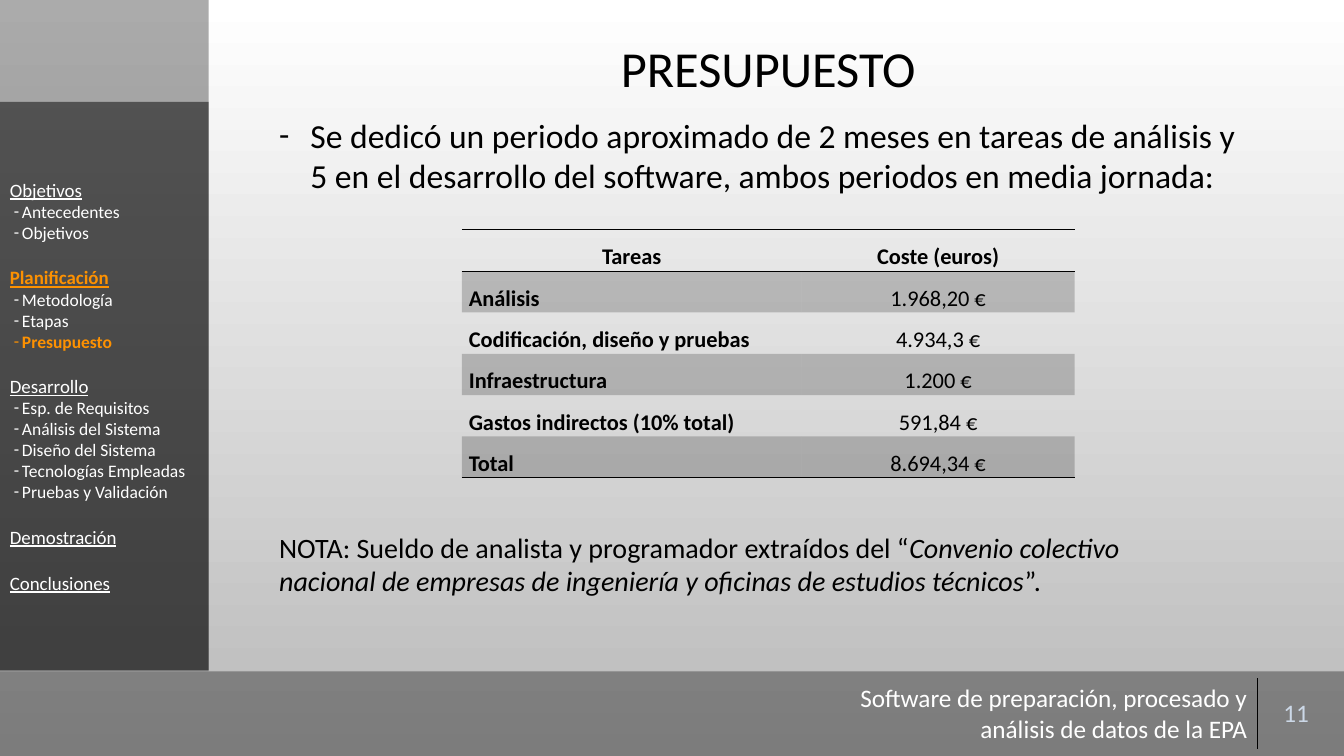
from dataclasses import dataclass

from lxml.etree import SubElement
from pptx import Presentation
from pptx.dml.color import RGBColor
from pptx.enum.shapes import MSO_SHAPE
from pptx.enum.text import MSO_ANCHOR, PP_ALIGN
from pptx.oxml import parse_xml
from pptx.oxml.ns import nsdecls, qn
from pptx.util import Inches, Pt

NO_STYLE_NO_GRID = "{2D5ABB26-0587-4C30-8999-92F81FD0307C}"


@dataclass(frozen=True)
class Theme:
    font: str = "Calibri"
    black: str = "000000"
    white: str = "FFFFFF"
    gray: str = "B9B9B9"
    orange: str = "FD9101"
    pale_blue: str = "CCD8E7"
    title: float = 36
    body: float = 24
    note: float = 20
    footer: float = 18
    table: float = 16
    section: float = 13.5
    topic: float = 12.5


THEME = Theme()


def write(para, text, *, size, color=THEME.black, bold=False, italic=False, underline=False):
    """Add a formatted span of text to a paragraph."""
    span = para.add_run()
    span.text = text
    font = span.font
    font.name, font.size = THEME.font, Pt(size)
    font.bold, font.italic, font.underline = bold, italic, underline
    font.color.rgb = RGBColor.from_string(color)


def set_dash(para, indent, hanging):
    """Give a paragraph a dash bullet with a hanging indent."""
    properties = para._p.get_or_add_pPr()
    properties.set("marL", str(Inches(indent)))
    properties.set("indent", str(-Inches(hanging)))
    SubElement(properties, qn("a:buFont"), typeface=THEME.font)
    SubElement(properties, qn("a:buChar"), char="-")


def set_alpha(fill, percent):
    """Fill with black at the given opacity."""
    fill.solid()
    fill.fore_color.rgb = RGBColor.from_string(THEME.black)
    color = fill._xPr.find(qn("a:solidFill"))[0]
    SubElement(color, qn("a:alpha"), val=str(percent * 1000))


def set_borders(cell, sides):
    """Draw thin black lines on the named sides, in L, R, T, B order."""
    properties = cell._tc.get_or_add_tcPr()
    for position, side in enumerate(sides):
        properties.insert(position, parse_xml(
            f'<a:ln{side} {nsdecls("a")} w="12700"><a:solidFill>'
            f'<a:srgbClr val="{THEME.black}"/></a:solidFill></a:ln{side}>'))


class SlideBuilder:
    def __init__(self, page, theme):
        self.page = page
        self.theme = theme

    def background(self):
        fill = self.page.background.fill
        fill.gradient()
        fill.gradient_angle = 270
        for stop, color in zip(fill.gradient_stops, (self.theme.white, self.theme.gray)):
            stop.color.rgb = RGBColor.from_string(color)

    def panel(self, left, top, width, height, opacity):
        panel = self.page.shapes.add_shape(
            MSO_SHAPE.RECTANGLE, Inches(left), Inches(top), Inches(width), Inches(height))
        panel.shadow.inherit = False
        panel.line.fill.background()
        set_alpha(panel.fill, opacity)
        return panel

    def text_box(self, left, top, width, height, anchor=MSO_ANCHOR.TOP):
        box = self.page.shapes.add_textbox(
            Inches(left), Inches(top), Inches(width), Inches(height))
        box.text_frame.word_wrap = True
        box.text_frame.vertical_anchor = anchor
        return box.text_frame.paragraphs[0]

    def table(self, left, top, widths, row_height, row_count):
        frame = self.page.shapes.add_table(
            row_count, len(widths), Inches(left), Inches(top),
            Inches(sum(widths)), Inches(row_height * row_count))
        table = frame.table
        table.first_row = table.horz_banding = False
        table._tbl.tblPr.find(qn("a:tableStyleId")).text = NO_STYLE_NO_GRID
        for column, width in zip(table.columns, widths):
            column.width = Inches(width)
        for cell in table.iter_cells():
            cell.fill.background()
        return table

    def budget(self, rows):
        table = self.table(4.58, 2.28, (3.37, 2.71), 0.41, len(rows))
        last = len(rows) - 1
        for row, values in enumerate(rows):
            for column, value in enumerate(values):
                cell = table.cell(row, column)
                cell.margin_left = cell.margin_right = Inches(0.07)
                cell.margin_top = cell.margin_bottom = 0
                para = cell.text_frame.paragraphs[0]
                is_label = row > 0 and column == 0
                para.alignment = PP_ALIGN.JUSTIFY if is_label else PP_ALIGN.CENTER
                para.line_spacing = 1.5
                write(para, value, size=self.theme.table, bold=row == 0 or column == 0)
                if row % 2:
                    set_alpha(cell.fill, 20)
                set_borders(cell, {0: "TB", last: "B"}.get(row, ""))

    def footer(self, text, number):
        table = self.table(8.39, 6.73, (4.08, 0.77), 0.7, 1)
        entries = ((text, PP_ALIGN.RIGHT, self.theme.white),
                   (number, PP_ALIGN.CENTER, self.theme.pale_blue))
        for cell, (value, alignment, color) in zip(table.iter_cells(), entries):
            cell.vertical_anchor = MSO_ANCHOR.MIDDLE
            para = cell.text_frame.paragraphs[0]
            para.alignment = alignment
            write(para, value, size=self.theme.footer, color=color)
        set_borders(table.cell(0, 1), "L")

    def menu(self, sections, current):
        frame = self.panel(0, 1.01, 2.07, 5.64, 50).text_frame
        frame.word_wrap = True
        frame.vertical_anchor = MSO_ANCHOR.MIDDLE
        for index, (section, topics) in enumerate(sections):
            para = frame.add_paragraph() if index else frame.paragraphs[0]
            para.space_before = Pt(16.5 if index else 0)
            for level, label in enumerate((section, *topics)):
                if level:
                    para = frame.add_paragraph()
                    set_dash(para, 0.12, 0.08)
                para.alignment = PP_ALIGN.LEFT
                active = label in current
                write(para, label, bold=active, underline=level == 0,
                      size=self.theme.topic if level else self.theme.section,
                      color=self.theme.orange if active else self.theme.white)


BUDGET = (
    ("Tareas", "Coste (euros)"),
    ("Análisis", "1.968,20 €"),
    ("Codificación, diseño y pruebas", "4.934,3 €"),
    ("Infraestructura", "1.200 €"),
    ("Gastos indirectos (10% total)", "591,84 €"),
    ("Total", "8.694,34 €"),
)
SECTIONS = (
    ("Objetivos", ("Antecedentes", "Objetivos")),
    ("Planificación", ("Metodología", "Etapas", "Presupuesto")),
    ("Desarrollo", ("Esp. de Requisitos", "Análisis del Sistema", "Diseño del Sistema",
                    "Tecnologías Empleadas", "Pruebas y Validación")),
    ("Demostración", ()),
    ("Conclusiones", ()),
)


def main():
    deck = Presentation()
    deck.slide_width, deck.slide_height = Inches(13.33), Inches(7.5)
    builder = SlideBuilder(deck.slides.add_slide(deck.slide_layouts[6]), THEME)

    # Background and side panel
    builder.background()
    builder.panel(0, 0, 2.07, 6.66, 33)

    # Title
    title = builder.text_box(3.89, 0.22, 7.46, 0.97, MSO_ANCHOR.MIDDLE)
    title.alignment = PP_ALIGN.CENTER
    title.line_spacing = 0.9
    write(title, "PRESUPUESTO", size=THEME.title)

    # Budget table
    builder.budget(BUDGET)

    # Footer
    builder.panel(0, 6.66, 13.33, 0.84, 33)
    builder.footer("Software de preparación, procesado y análisis de datos de la EPA", "11")

    # Introduction and note
    intro = builder.text_box(2.67, 1.09, 9.78, 0.91)
    set_dash(intro, 0.31, 0.31)
    write(intro, "Se dedicó un periodo aproximado de 2 meses en tareas de análisis y 5 en el "
                 "desarrollo del software, ambos periodos en media jornada:", size=THEME.body)
    note = builder.text_box(2.67, 5.21, 9.32, 0.77)
    write(note, "NOTA: Sueldo de analista y programador extraídos del “", size=THEME.note)
    write(note, "Convenio colectivo nacional de empresas de ingeniería y oficinas de "
                "estudios técnicos", size=THEME.note, italic=True)
    write(note, "”.", size=THEME.note)

    # Section menu
    builder.menu(SECTIONS, current=("Planificación", "Presupuesto"))

    deck.save("out.pptx")


if __name__ == "__main__":
    main()
